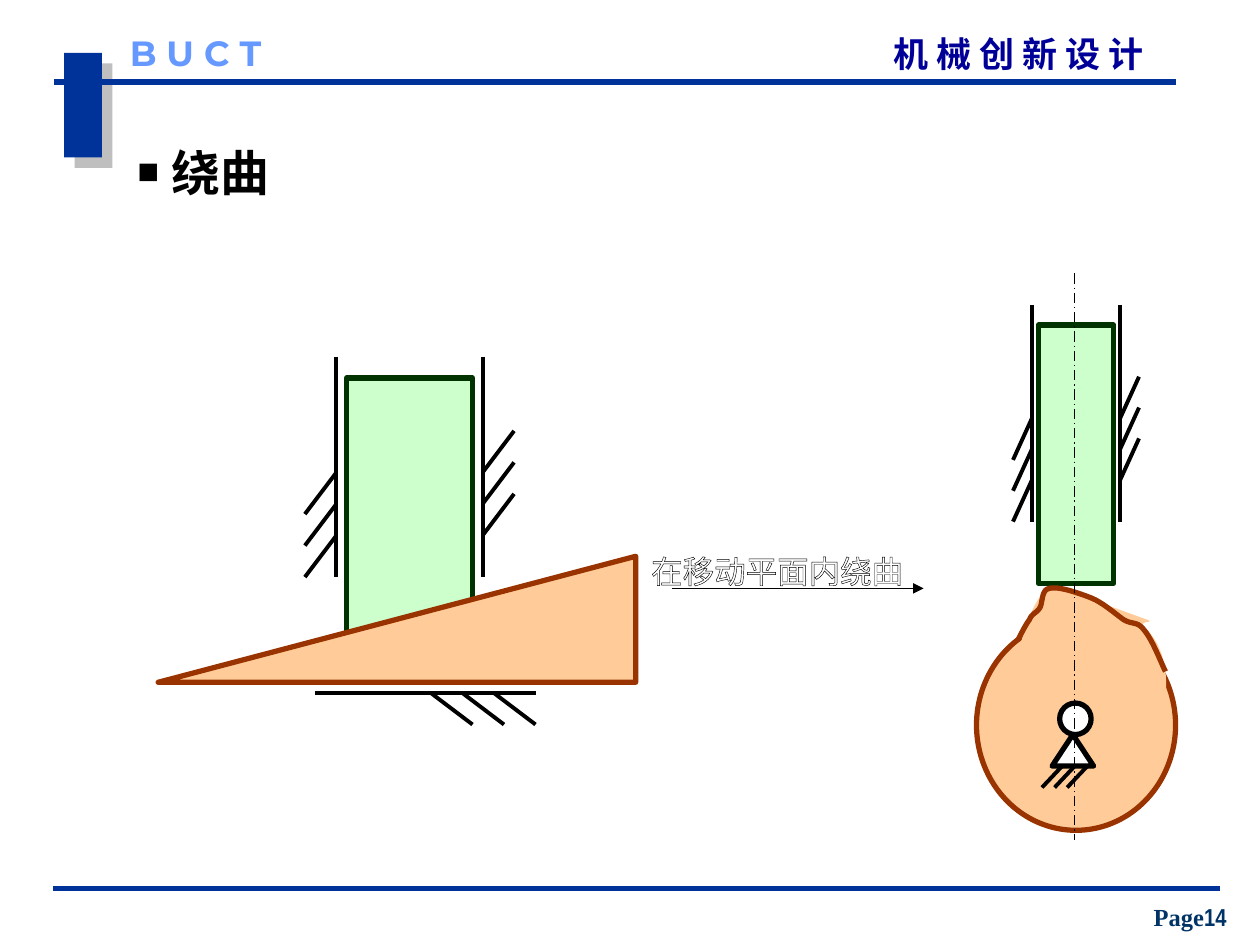
from lxml import etree
from pptx import Presentation
from pptx.dml.color import RGBColor
from pptx.enum.dml import MSO_LINE
from pptx.enum.shapes import MSO_CONNECTOR, MSO_SHAPE
from pptx.enum.text import MSO_ANCHOR, PP_ALIGN
from pptx.oxml.ns import qn
from pptx.util import Inches, Pt

RECTANGLE, ELLIPSE = MSO_SHAPE.RECTANGLE, MSO_SHAPE.OVAL
WEDGE, TRIANGLE = MSO_SHAPE.RIGHT_TRIANGLE, MSO_SHAPE.ISOSCELES_TRIANGLE
TAPE = MSO_SHAPE.WAVE if not hasattr(MSO_SHAPE, "FLOWCHART_PUNCHED_TAPE") else MSO_SHAPE.FLOWCHART_PUNCHED_TAPE
STRAIGHT, DASH_DOT = MSO_CONNECTOR.STRAIGHT, MSO_LINE.LONG_DASH_DOT
TOP, MIDDLE, BOTTOM = MSO_ANCHOR.TOP, MSO_ANCHOR.MIDDLE, MSO_ANCHOR.BOTTOM
LEFT, CENTER = PP_ALIGN.LEFT, PP_ALIGN.CENTER

BLACK, WHITE = RGBColor(0, 0, 0), RGBColor(255, 255, 255)
BLUE, NAVY = RGBColor(0x00, 0x33, 0x99), RGBColor(0x00, 0x00, 0x99)
SKY, SLATE = RGBColor(0x66, 0x99, 0xFF), RGBColor(0x00, 0x33, 0x66)
MINT, GREEN = RGBColor(0xCC, 0xFF, 0xCC), RGBColor(0x00, 0x33, 0x00)
PEACH, BROWN = RGBColor(0xFF, 0xCC, 0x99), RGBColor(0x99, 0x33, 0x00)

SERIF, NARROW = "Times New Roman", "Arial Narrow"
CHINESE, LOGOTYPE = "Noto Sans CJK SC", "Montserrat"

TITLE = "￭ 绕曲"
HEADERS = [  # text, box, font, colour
    ("机 械 创 新 设 计", (7.09, 0.26, 2.45, 0.33), CHINESE, NAVY),
    ("B U C T", (1.03, 0.25, 1.42, 0.33), LOGOTYPE, SKY),
]
RULES = [((0.43, 0.65), (9.33, 0.65)), ((0.42, 7.05), (9.68, 7.05))]

# Shapes: kind, box, rotation, fill, outline, outline width
WEDGE_FOLLOWER = [
    (RECTANGLE, (2.75, 3, 1, 2.08), 0, MINT, GREEN, 3),
    (WEDGE, (2.65, 3.02, 1, 3.79), 270, PEACH, BROWN, 3),
]
CAM_FOLLOWER = [
    (ELLIPSE, (7.75, 4.92, 1.58, 1.67), 0, PEACH, BROWN, 3),
    (TAPE, (7.79, 4.96, 1.42, 1), 290, PEACH, PEACH, 0.75),
    (ELLIPSE, (8.58, 4.92, 0.67, 1), 0, PEACH, PEACH, 0.75),
    (RECTANGLE, (8.24, 2.58, 0.6, 2.05), 0, MINT, GREEN, 3),
]
BEARING = (TRIANGLE, (8.35, 5.83, 0.33, 0.25), 0, WHITE, BLACK, 3)
PIVOT = (ELLIPSE, (8.41, 5.58, 0.25, 0.25), 0, WHITE, BLACK, 3)

# Guides: wall start and end, first hatch start and end, hatch step
WEDGE_GUIDES = [
    ((3.83, 2.83), (3.83, 4.58), (4.08, 3.42), (3.83, 3.75), (0, 0.25)),
    ((2.5, 5.5), (4.25, 5.5), (3.42, 5.5), (3.75, 5.75), (0.25, 0)),
    ((2.67, 2.83), (2.67, 4.58), (2.67, 3.75), (2.42, 4.08), (0, 0.25)),
]
CAM_GUIDES = [
    ((8.89, 2.42), (8.89, 4.14), (9.04, 2.99), (8.89, 3.32), (0, 0.245)),
    ((8.19, 2.42), (8.19, 4.14), (8.19, 3.32), (8.04, 3.65), (0, 0.245)),
]
BEARING_HATCH = ((8.27, 6.25), (8.43, 6.08), (0.1, 0))
HATCH_COUNT = 3

CAM_START = (8.08, 5.08)
CAM_CURVES = [  # two control points and the end of each Bézier piece
    ((8.11, 5.02), (8.14, 4.96), (8.17, 4.92)),
    ((8.19, 4.87), (8.22, 4.87), (8.25, 4.83)),
    ((8.28, 4.79), (8.26, 4.68), (8.33, 4.67)),
    ((8.4, 4.65), (8.57, 4.71), (8.67, 4.75)),
    ((8.76, 4.79), (8.85, 4.87), (8.92, 4.92)),
    ((8.99, 4.96), (9.03, 4.93), (9.08, 5)),
    ((9.14, 5.07), (9.19, 5.2), (9.25, 5.33)),
]
CURVE_STEPS = 10


def add_xml(parent, tag, **attributes):
    return etree.SubElement(parent, qn(tag), attributes)


def add_line(start, end, color=BLACK, width=2.25):
    line = slide.shapes.add_connector(STRAIGHT, *map(Inches, start + end))
    line.line.color.rgb = color
    line.line.width = Pt(width)
    add_xml(line._element.spPr, "a:effectLst")
    return line


def add_hatch(start, end, step):
    for i in range(HATCH_COUNT):
        add_line(*[(x + i * step[0], y + i * step[1]) for x, y in (start, end)])


def add_guide(wall_start, wall_end, *hatch):
    add_line(wall_start, wall_end)
    add_hatch(*hatch)


def add_part(kind, box, rotation, fill, outline, width):
    part = slide.shapes.add_shape(kind, *map(Inches, box))
    part.rotation = rotation
    part.shadow.inherit = False
    part.fill.solid()
    part.fill.fore_color.rgb = fill
    part.line.color.rgb = outline
    part.line.width = Pt(width)
    return part


def write(shape, runs, insets=(0, 0), anchor=TOP, align=LEFT, wrap=True):
    """Fill a shape with one paragraph of (text, font, size, colour, bold) runs."""
    frame = shape.text_frame
    horizontal, vertical = map(Inches, insets)
    settings = {"margin_left": horizontal, "margin_right": horizontal,
                "margin_top": vertical, "margin_bottom": vertical,
                "vertical_anchor": anchor, "word_wrap": wrap}
    for name, value in settings.items():
        setattr(frame, name, value)
    paragraph = frame.paragraphs[0]
    paragraph.alignment = align
    for text, font, size, color, bold in runs:
        run = paragraph.add_run()
        run.text = text
        for name, value in {"name": font, "size": Pt(size), "bold": bold}.items():
            setattr(run.font, name, value)
        run.font.color.rgb = color
        add_xml(run.font._element, "a:ea", typeface=CHINESE)
    return paragraph


def add_text(box, runs, **layout):
    return write(slide.shapes.add_textbox(*map(Inches, box)), runs, **layout)


def add_cam_profile():
    """Draw the raised part of the cam as a finely sampled Bézier curve."""
    points, start = [], CAM_START
    for first, second, end in CAM_CURVES:
        for i in range(1, CURVE_STEPS + 1):
            t = i / CURVE_STEPS
            weights = ((1 - t) ** 3, 3 * t * (1 - t) ** 2, 3 * t * t * (1 - t), t ** 3)
            corners = (start, first, second, end)
            points.append(tuple(Inches(sum(w * c[axis] for w, c in zip(weights, corners)))
                                for axis in (0, 1)))
        start = end
    builder = slide.shapes.build_freeform(*map(Inches, CAM_START))
    builder.add_line_segments(points, close=False)
    profile = builder.convert_to_shape()
    profile.shadow.inherit = False
    profile.fill.background()
    profile.line.color.rgb = BROWN
    profile.line.width = Pt(3)


presentation = Presentation()
presentation.slide_width, presentation.slide_height = Inches(10), Inches(7.5)
slide = presentation.slides.add_slide(presentation.slide_layouts[5])

# Page frame
bar = add_part(RECTANGLE, (0.51, 0.42, 0.3, 0.83), 0, BLUE, BLUE, 0.75)
bar.line.fill.background()
shadow = add_xml(bar._element.spPr.find(qn("a:effectLst")), "a:outerShdw",
                 dist=str(Pt(8.5)), dir="2700000", algn="ctr", rotWithShape="0")
add_xml(add_xml(shadow, "a:srgbClr", val="808080"), "a:alpha", val="50000")
for start, end in RULES:
    add_line(start, end, BLUE, 3)
for text, box, font, color in HEADERS:
    add_text(box, [(text, font, 20, color, True)])
add_text((8.97, 7.11, 0.95, 0.33),
         [("Page", SERIF, 14, SLATE, True), ("14", NARROW, 14, SLATE, True)],
         insets=(0.1, 0.05), anchor=BOTTOM, align=CENTER, wrap=False)

title = slide.shapes.title
title.left, title.top, title.width, title.height = map(Inches, (1.08, 1.23, 2.12, 0.27))
write(title, [(TITLE, SERIF, 28, BLACK, True)], anchor=MIDDLE)

# Wedge mechanism
for part in WEDGE_FOLLOWER:
    add_part(*part)
for guide in WEDGE_GUIDES:
    add_guide(*guide)

# Transformation arrow
arrow = add_line((5.33, 4.67), (7.33, 4.67), width=0.75)
add_xml(arrow.line._get_or_add_ln(), "a:tailEnd", type="triangle")
caption = add_text((5.07, 4.33, 2.2, 0.25), [("在移动平面内绕曲", CHINESE, 18, WHITE, False)],
                   insets=(0.1, 0.05), wrap=False)
outline = etree.Element(qn("a:ln"), w=str(Pt(0.75)))
add_xml(add_xml(outline, "a:solidFill"), "a:srgbClr", val=str(BLACK))
caption.runs[0].font._element.insert(0, outline)

# Cam mechanism
for part in CAM_FOLLOWER:
    add_part(*part)
for guide in CAM_GUIDES:
    add_guide(*guide)
add_cam_profile()
add_part(*BEARING)
add_hatch(*BEARING_HATCH)
add_part(*PIVOT)
add_line((8.53, 2.17), (8.53, 6.67), width=0.75).line.dash_style = DASH_DOT

presentation.save("out.pptx")
